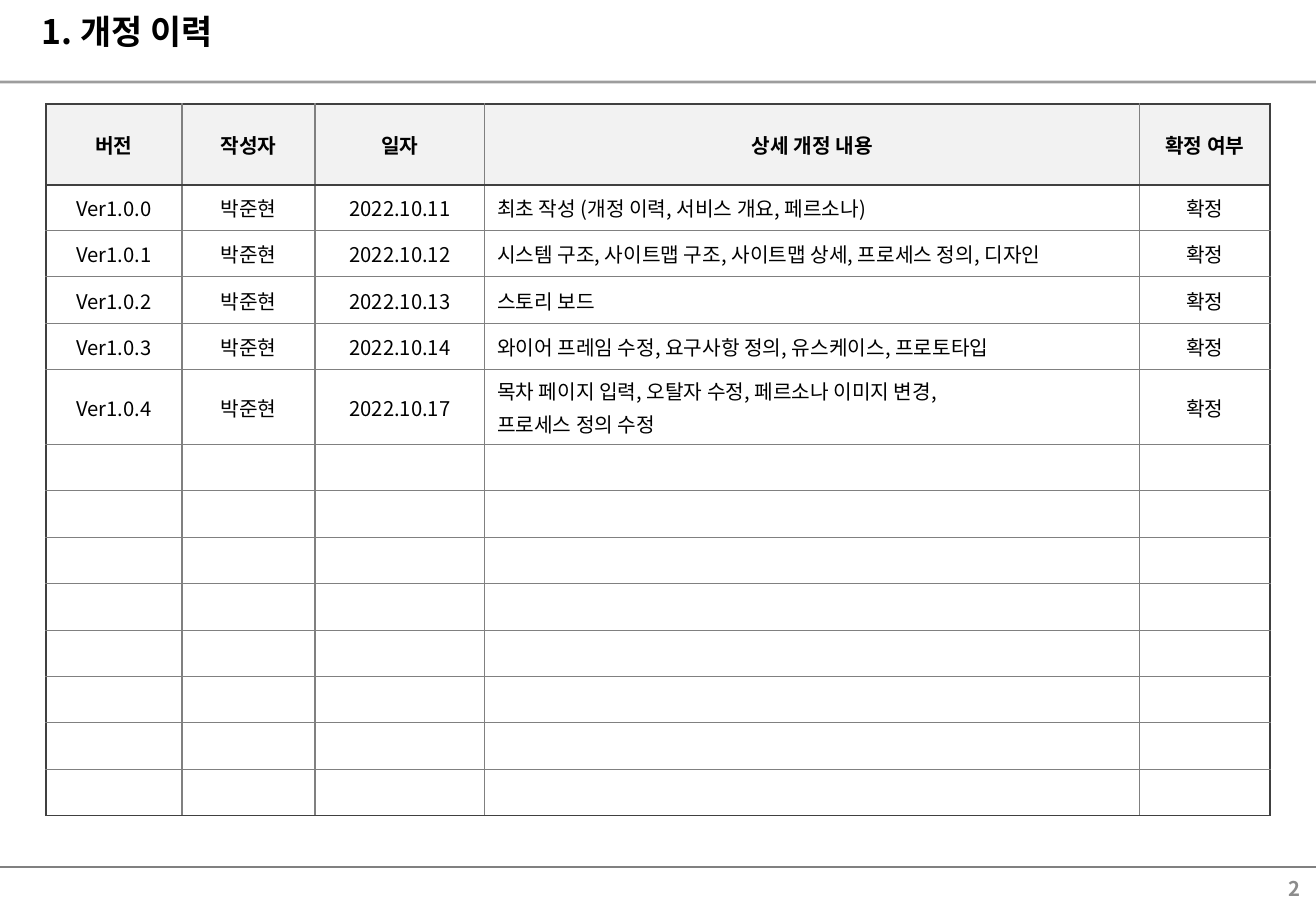
import pptx
import pptx.dml.color
import pptx.enum.shapes
import pptx.enum.text
import pptx.oxml.ns
import pptx.util
import lxml.etree

PX = 7526
FONT = "Noto Sans CJK KR"
COLORS = {"text": "000000", "header": "F2F2F2", "grid": "808080", "frame": "404040", "page": "8C8C8C"}
ALIGN = pptx.enum.text.PP_ALIGN
MIDDLE = pptx.enum.text.MSO_ANCHOR.MIDDLE
qn = pptx.oxml.ns.qn


def style(paragraph, size, color, bold, align):
    paragraph.alignment = align
    for run in paragraph.runs:
        run.font.size = pptx.util.Pt(size)
        run.font.bold = bold
        run.font.name = FONT
        run.font.color.rgb = pptx.dml.color.RGBColor.from_string(COLORS[color])
        lxml.etree.SubElement(run.font._element, qn("a:ea"), typeface=FONT)


def border(cell, side, color, points):
    line = lxml.etree.SubElement(cell._tc.get_or_add_tcPr(), qn("a:ln" + side), w=str(pptx.util.Pt(points)))
    fill = lxml.etree.SubElement(line, qn("a:solidFill"))
    lxml.etree.SubElement(fill, qn("a:srgbClr"), val=COLORS[color])


deck = pptx.Presentation()
deck.slide_width = 1316 * PX
deck.slide_height = 911 * PX
slide = deck.slides.add_slide(deck.slide_layouts[6])

for y, width, opacity in [(867, 0.75, 100), (82, 1.5, 76)]:
    rule = slide.shapes.add_connector(pptx.enum.shapes.MSO_CONNECTOR.STRAIGHT, 0, y * PX, 1316 * PX, y * PX)
    rule.line.width = pptx.util.Pt(width)
    rule.line.color.rgb = pptx.dml.color.RGBColor.from_string(COLORS["grid"])
    if opacity < 100:
        tint = rule._element.spPr.find(".//" + qn("a:srgbClr"))
        lxml.etree.SubElement(tint, qn("a:alpha"), val=str(opacity * 1000))
    lxml.etree.SubElement(rule._element.spPr, qn("a:effectLst"))

column_widths = [136, 133, 170, 655, 130]
row_heights = [81, 46, 46, 47, 46, 75, 46, 47, 46, 47, 46, 46, 47, 46]
history = [
    ["버전", "작성자", "일자", "상세 개정 내용", "확정 여부"],
    ["Ver1.0.0", "박준현", "2022.10.11", "최초 작성 (개정 이력, 서비스 개요, 페르소나)", "확정"],
    ["Ver1.0.1", "박준현", "2022.10.12", "시스템 구조, 사이트맵 구조, 사이트맵 상세, 프로세스 정의, 디자인", "확정"],
    ["Ver1.0.2", "박준현", "2022.10.13", "스토리 보드", "확정"],
    ["Ver1.0.3", "박준현", "2022.10.14", "와이어 프레임 수정, 요구사항 정의, 유스케이스, 프로토타입", "확정"],
    ["Ver1.0.4", "박준현", "2022.10.17",
     "목차 페이지 입력, 오탈자 수정, 페르소나 이미지 변경,\n프로세스 정의 수정", "확정"],
]
last_row = len(row_heights) - 1
last_column = len(column_widths) - 1
detail_column = 3

revisions = slide.shapes.add_table(
    len(row_heights), len(column_widths), 46 * PX, 104 * PX,
    sum(column_widths) * PX, sum(row_heights) * PX).table
revisions.horz_banding = False
for column, width in zip(revisions.columns, column_widths):
    column.width = width * PX

for r, height in enumerate(row_heights):
    revisions.rows[r].height = height * PX
    for c in range(len(column_widths)):
        cell = revisions.cell(r, c)
        framed = {"L": c == 0, "R": c == last_column, "T": r <= 1, "B": r in (0, last_row)}
        for side, is_frame in framed.items():
            border(cell, side, "frame" if is_frame else "grid", 1 if is_frame else 0.75)
        cell.vertical_anchor = MIDDLE
        if r == 0:
            cell.fill.solid()
            cell.fill.fore_color.rgb = pptx.dml.color.RGBColor.from_string(COLORS["header"])
        else:
            cell.fill.background()
        if r >= len(history):
            cell.text_frame.paragraphs[0]._p.get_or_add_endParaRPr().set("sz", "1200")
            continue
        cell.text_frame.text = history[r][c]
        align = ALIGN.LEFT if r > 0 and c == detail_column else ALIGN.CENTER
        for n, paragraph in enumerate(cell.text_frame.paragraphs):
            style(paragraph, 12, "text", r == 0, align)
            if n > 0:
                paragraph.space_before = pptx.util.Pt(2.4)

for text, x, y, width, height, size, color, align, anchor in [
    ("1. 개정 이력", 30, 11, 1267, 60, 20, "text", ALIGN.LEFT, pptx.enum.text.MSO_ANCHOR.TOP),
    ("2", 1016, 870, 296, 36, 12, "page", ALIGN.RIGHT, MIDDLE),
]:
    frame = slide.shapes.add_textbox(x * PX, y * PX, width * PX, height * PX).text_frame
    frame.word_wrap = True
    frame.margin_top = frame.margin_bottom = 0
    frame.vertical_anchor = anchor
    frame.text = text
    style(frame.paragraphs[0], size, color, True, align)

deck.save("out.pptx")
